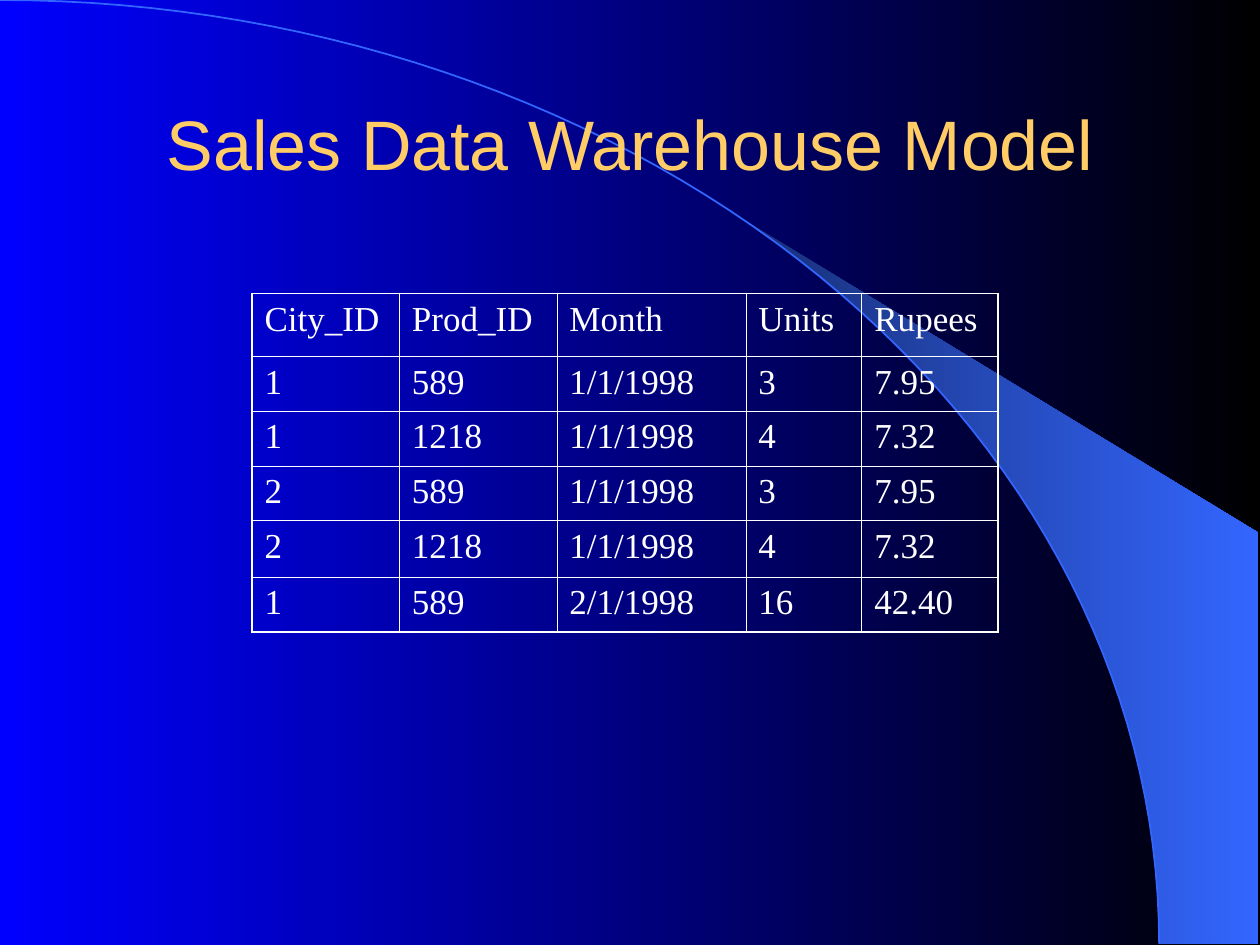
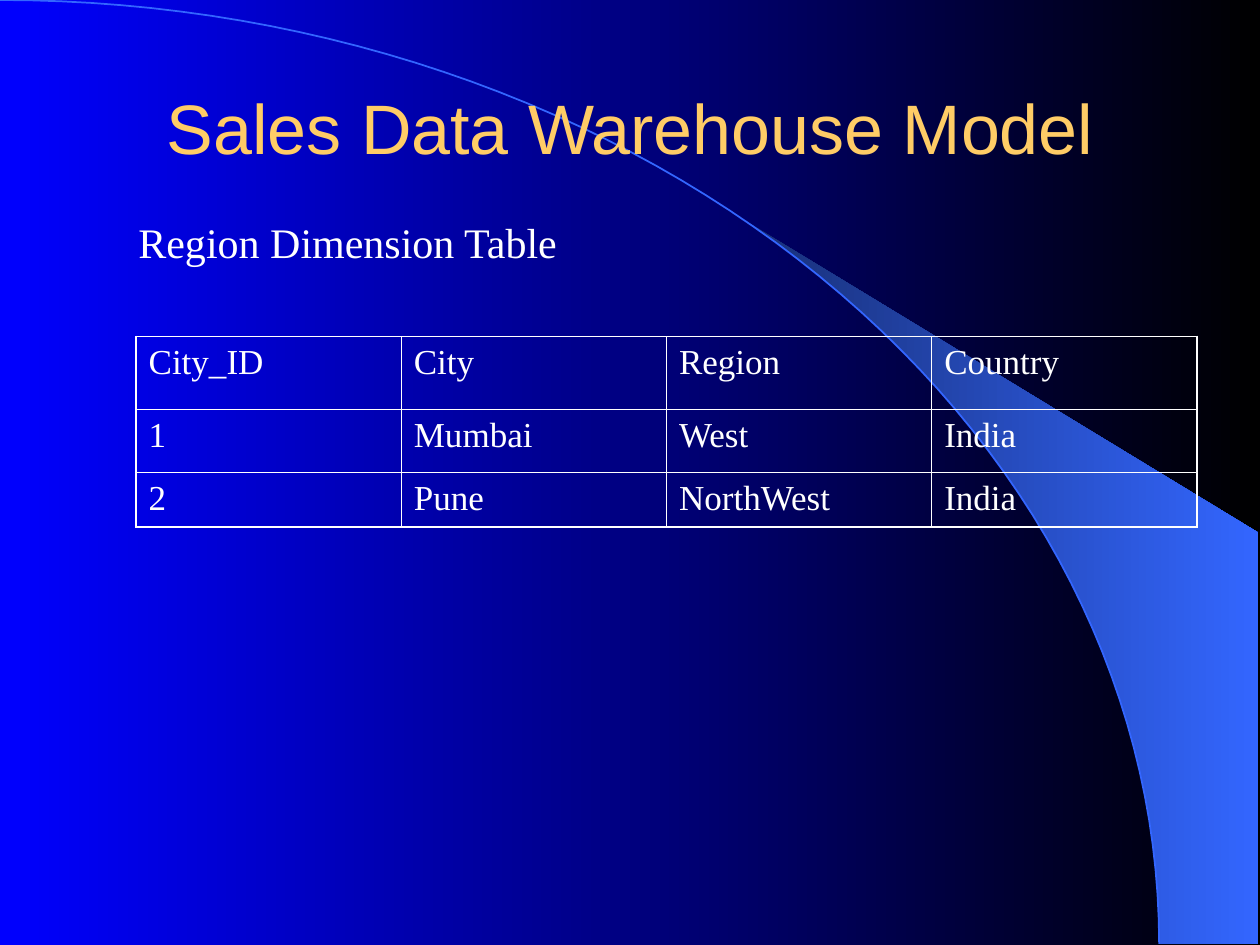
from dataclasses import dataclass
from math import asin, cos, pi, sin

from lxml.etree import SubElement as Sub
from pptx import Presentation
from pptx.dml.color import RGBColor as Rgb
from pptx.enum.text import MSO_ANCHOR as Anchor, PP_ALIGN as Align
from pptx.oxml.ns import qn
from pptx.util import Inches, Pt

# Content
TITLE = "Sales Data Warehouse Model"
SLIDES = [
    {
        "title_h": 0.92,
        "label": None,
        "at": (2, 2.33),
        "cols": [1.17, 1.25, 1.5, 0.92, 1.08],
        "rows": [0.5, 0.43, 0.43, 0.43, 0.45, 0.43],
        "bold_top": {0, 1, 2, 3, 4},
        "cells": [
            ("City_ID", "Prod_ID", "Month", "Units", "Rupees"),
            ("1", "589", "1/1/1998", "3", "7.95"),
            ("1", "1218", "1/1/1998", "4", "7.32"),
            ("2", "589", "1/1/1998", "3", "7.95"),
            ("2", "1218", "1/1/1998", "4", "7.32"),
            ("1", "589", "2/1/1998", "16", "42.40"),
        ],
    },
    {
        "title_h": 0.67,
        "label": "Region Dimension Table",
        "at": (1.08, 2.67),
        "cols": [8.42 / 4] * 4,
        "rows": [0.58, 0.5, 0.43],
        "bold_top": {0, 3},
        "cells": [
            ("City_ID", "City", "Region", "Country"),
            ("1", "Mumbai", "West", "India"),
            ("2", "Pune", "NorthWest", "India"),
        ],
    },
]


# Theme
@dataclass(frozen=True)
class Theme:
    back: tuple = ("0000FF", "000000")
    band: tuple = ("182F76", "3366FF")
    arc: str = "3366FF"
    gold: str = "FFCC66"
    white: str = "FFFFFF"
    head: str = "Arial"
    body: str = "Times New Roman"
    title: int = 40
    label: int = 24
    cell: int = 20
    thick: float = 1.08
    thin: float = 0.45


T = Theme()
WIDE, HIGH = 10, 7.5
ARC_W, ARC_H = 9.2, 7.49
EDGE, TIP, SIDE = 9.99, 5.89, 4.23  # right edge, band tip x, band top at the edge


def fmt(obj, **vals):
    for key, val in vals.items():
        setattr(obj, key, val)


def blend(fill, pair):
    fill.gradient()
    fill.gradient_angle = 0
    for stop, tone, place in zip(fill.gradient_stops, pair, (0, 1)):
        stop.color.rgb = Rgb.from_string(tone)
        stop.position = place


def write(frame, text, size, face, tone, align=Align.LEFT):
    para = frame.paragraphs[0]
    para.alignment = align
    run = para.add_run()
    run.text = text
    fmt(run.font, size=Pt(size), name=face)
    run.font.color.rgb = Rgb.from_string(tone)


def box(slide, x, y, w, h, wrap, anchor):
    frame = slide.shapes.add_textbox(*map(Inches, (x, y, w, h))).text_frame
    fmt(frame, word_wrap=wrap, vertical_anchor=anchor)
    return frame


# Backdrop: a quarter ellipse, and a band outside its lower part
def curve(start, steps=60):
    turns = [start + (pi / 2 - start) * i / steps for i in range(steps + 1)]
    return [(ARC_W * sin(t), ARC_H * (1 - cos(t))) for t in turns]


def outline(slide, pts, close):
    pts = [(Inches(x), Inches(y)) for x, y in pts]
    pen = slide.shapes.build_freeform(*pts[0])
    pen.add_line_segments(pts[1:], close=close)
    shape = pen.convert_to_shape()
    shape.shadow.inherit = False
    return shape


def backdrop(slide):
    blend(slide.background.fill, T.back)
    edge = [(EDGE, ARC_H), (EDGE, SIDE)]
    band = outline(slide, edge + curve(asin(TIP / ARC_W)), True)
    blend(band.fill, T.band)
    band.line.fill.background()
    arc = outline(slide, curve(0), False)
    arc.fill.background()
    arc.line.color.rgb = Rgb.from_string(T.arc)
    arc.line.width = Pt(1)


# Table
def border(cell, thick):
    props = cell._tc.get_or_add_tcPr()
    for side in "LRTB":
        width = T.thick if side in thick else T.thin
        line = Sub(props, qn("a:ln" + side), w=str(int(Pt(width))))
        Sub(Sub(line, qn("a:solidFill")), qn("a:srgbClr"), val=T.white)


def grid(slide, part):
    cols, rows = part["cols"], part["rows"]
    size = (*part["at"], sum(cols), sum(rows))
    table = slide.shapes.add_table(len(rows), len(cols), *map(Inches, size)).table
    fmt(table, first_row=False, horz_banding=False)
    for col, w in zip(table.columns, cols):
        col.width = Inches(w)
    for row, h in zip(table.rows, rows):
        row.height = Inches(h)
    for r, line in enumerate(part["cells"]):
        for c, text in enumerate(line):
            cell = table.cell(r, c)
            outer = {
                "L": c == 0,
                "R": c == len(cols) - 1,
                "T": r == 0 and c in part["bold_top"],
                "B": r == len(rows) - 1,
            }
            border(cell, {side for side, on in outer.items() if on})
            cell.fill.background()
            write(cell.text_frame, text, T.cell, T.body, T.white)


def main():
    deck = Presentation()
    fmt(deck, slide_width=Inches(WIDE), slide_height=Inches(HIGH))
    for part in SLIDES:
        slide = deck.slides.add_slide(deck.slide_layouts[6])
        backdrop(slide)
        head = box(slide, 0.75, 0.67, 8.5, part["title_h"], True, Anchor.MIDDLE)
        write(head, TITLE, T.title, T.head, T.gold, Align.CENTER)
        if part["label"]:
            label = box(slide, 1, 1.67, 3.55, 0.5, False, Anchor.TOP)
            write(label, part["label"], T.label, T.body, T.white)
        grid(slide, part)
    deck.save("out.pptx")


if __name__ == "__main__":
    main()
